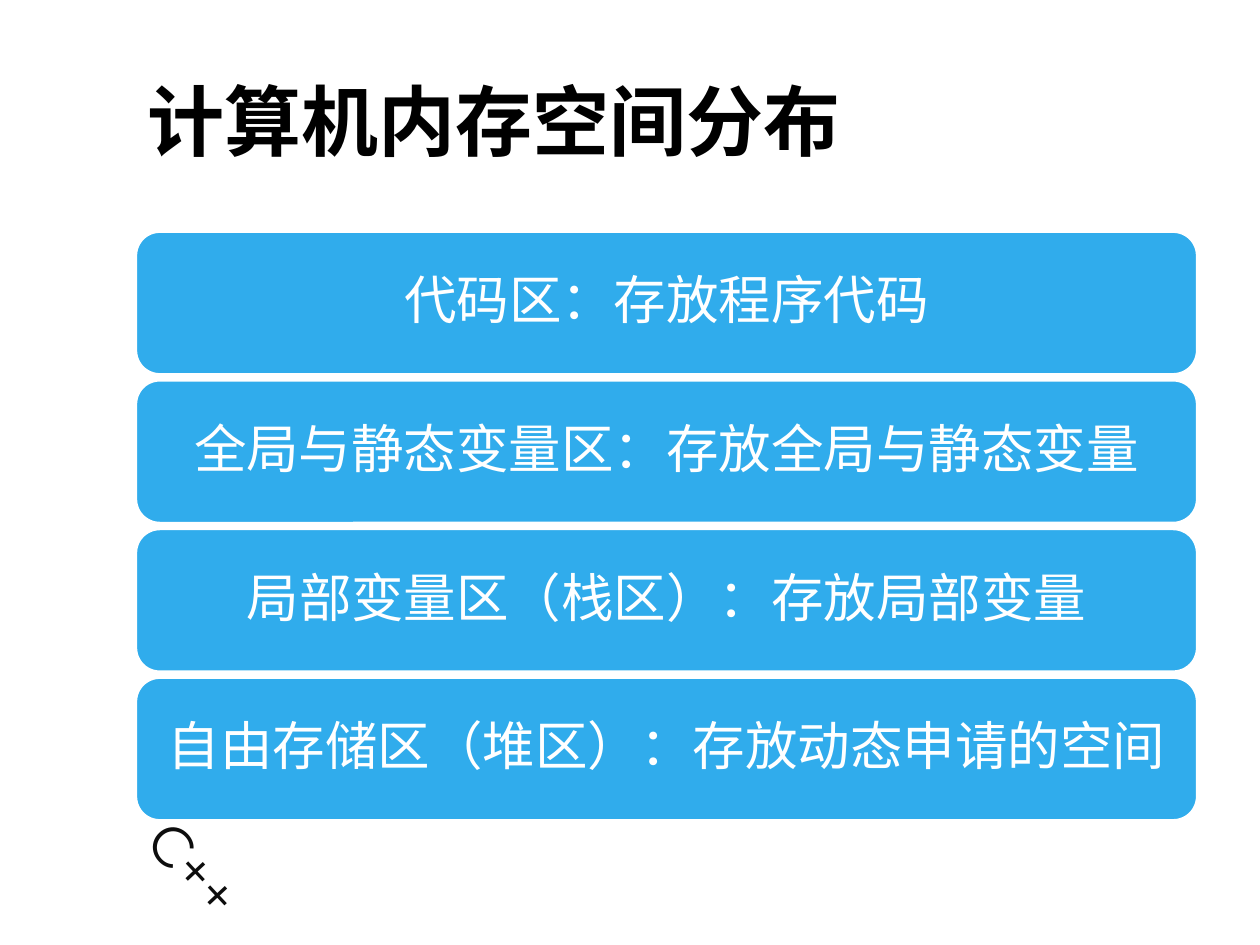
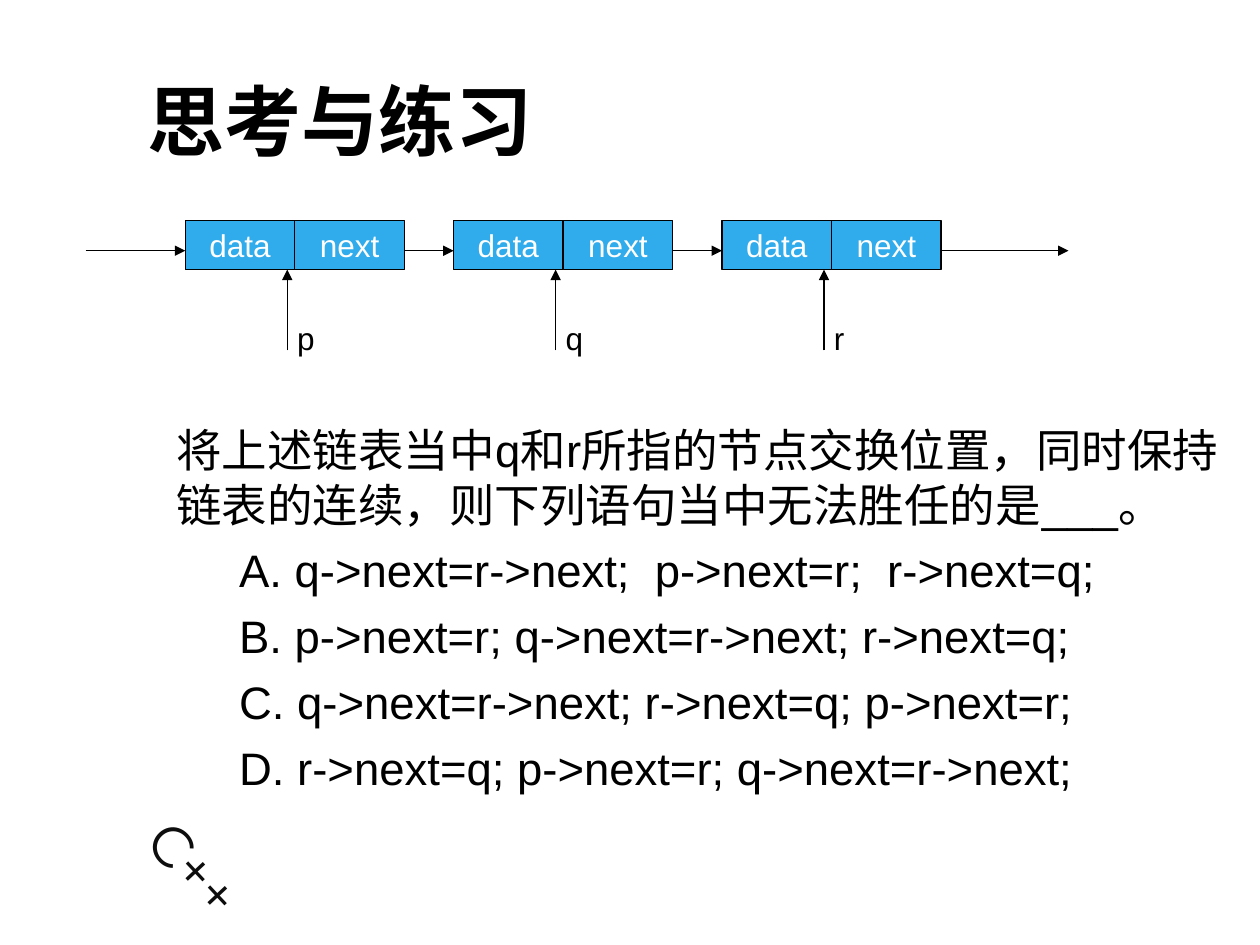
from dataclasses import dataclass

from lxml.etree import SubElement
from pptx import Presentation
from pptx.dml.color import RGBColor
from pptx.enum.shapes import MSO_CONNECTOR, MSO_SHAPE
from pptx.enum.text import MSO_ANCHOR, PP_ALIGN
from pptx.oxml.ns import qn
from pptx.util import Emu, Pt

# Shared look
EMU_PER_PX = 9144  # 100 px to the inch
COLOURS = {"text": "000000", "mark": "0D0D0D", "fill": "30ACEC", "white": "FFFFFF"}
TITLE = {"name": "Arial", "size": Pt(44), "bold": True}
MARK = {"name": "Montserrat", "size": Pt(32)}
BAR = {"name": "Arial", "size": Pt(30)}
NODE = {"name": "Arial", "size": Pt(18)}
BODY = {"name": "Arial", "size": Pt(26)}


@dataclass(frozen=True)
class Area:
    left: int
    top: int
    width: int
    height: int

    def lengths(self) -> list[Emu]:
        return [px(n) for n in (self.left, self.top, self.width, self.height)]


@dataclass(frozen=True)
class Node:
    left: int
    pointer: str
    label_width: int


def px(length: int) -> Emu:
    return Emu(length * EMU_PER_PX)


def colour(name: str) -> RGBColor:
    return RGBColor.from_string(COLOURS[name])


def set_all(target, values: dict) -> None:
    for name, value in values.items():
        setattr(target, name, value)


def write(para, words: str, style: dict, ink: str = "text") -> None:
    span = para.add_run()
    span.text = words
    set_all(span.font, style)
    span.font.color.rgb = colour(ink)


def add_text(page, area: Area, words: str, style: dict, ink: str = "text", **frame):
    box = page.shapes.add_textbox(*area.lengths())
    set_all(box.text_frame, {"word_wrap": True, **frame})
    if words:
        write(box.text_frame.paragraphs[0], words, style, ink)
    return box


def add_block(page, kind, area: Area, words: str, style: dict,
              edge: str, weight: float, **frame):
    block = page.shapes.add_shape(kind, *area.lengths())
    block.shadow.inherit = False
    block.fill.solid()
    block.fill.fore_color.rgb = colour("fill")
    block.line.color.rgb = colour(edge)
    block.line.width = Pt(weight)
    set_all(block.text_frame, {"vertical_anchor": MSO_ANCHOR.MIDDLE, **frame})
    para = block.text_frame.paragraphs[0]
    para.alignment = PP_ALIGN.CENTER
    write(para, words, style, "white")
    return block


def add_arrow(page, start: tuple[int, int], end: tuple[int, int]) -> None:
    arrow = page.shapes.add_connector(
        MSO_CONNECTOR.STRAIGHT, *[px(n) for n in start + end])
    arrow.line.color.rgb = colour("text")
    arrow.line.width = Pt(0.75)
    SubElement(arrow.line._get_or_add_ln(), qn("a:tailEnd"), type="triangle")
    SubElement(arrow._element.spPr, qn("a:effectLst"))


def add_page(deck, title: str):
    page = deck.slides.add_slide(deck.slide_layouts[6])
    mark = add_text(page, Area(94, 678, 161, 64), "C++", MARK, "mark")
    mark.rotation = 46.9
    add_text(page, Area(107, 29, 843, 132), title, TITLE,
             vertical_anchor=MSO_ANCHOR.MIDDLE)
    return page


# Slide 1: stacked memory areas
MEMORY_AREAS = [
    "代码区：存放程序代码",
    "全局与静态变量区：存放全局与静态变量",
    "局部变量区（栈区）：存放局部变量",
    "自由存储区（堆区）：存放动态申请的空间",
]


def build_memory_page(deck) -> None:
    page = add_page(deck, "计算机内存空间分布")
    for row, words in enumerate(MEMORY_AREAS):
        bar = add_block(page, MSO_SHAPE.ROUNDED_RECTANGLE,
                        Area(108, 184 + 118 * row, 842, 113), words, BAR,
                        "white", 1.25, word_wrap=True,
                        margin_left=px(12), margin_right=px(12))
        bar.text_frame.paragraphs[0].line_spacing = 0.9


# Slide 2: linked list and question
NODE_TOP, CELL_WIDTH, CELL_HEIGHT = 175, 87, 39
LINK_Y = 199
NODES = [Node(147 + 213 * index, name, width)
         for index, (name, width) in enumerate([("p", 36), ("q", 36), ("r", 30)])]
QUESTION = "将上述链表当中q和r所指的节点交换位置，同时保持链表的连续，则下列语句当中无法胜任的是___。"
OPTIONS = [
    "A. q->next=r->next;  p->next=r;  r->next=q;",
    "B. p->next=r; q->next=r->next; r->next=q;",
    "C. q->next=r->next; r->next=q; p->next=r;",
    "D. r->next=q; p->next=r; q->next=r->next;",
]


def add_node(page, node: Node) -> None:
    for column, words in enumerate(("data", "next")):
        area = Area(node.left + column * CELL_WIDTH, NODE_TOP, CELL_WIDTH, CELL_HEIGHT)
        add_block(page, MSO_SHAPE.RECTANGLE, area, words, NODE, "text", 0.75,
                  word_wrap=False)
    pointer_x = node.left + 81
    add_arrow(page, (pointer_x, 278), (pointer_x, NODE_TOP + CELL_HEIGHT))
    add_text(page, Area(pointer_x - 2, 248, node.label_width, 40), node.pointer, NODE,
             word_wrap=False)


def build_exercise_page(deck) -> None:
    page = add_page(deck, "思考与练习")
    for node in NODES:
        add_node(page, node)

    # Links run from each node's right edge to the next node
    starts = [68] + [node.left + 2 * CELL_WIDTH for node in NODES]
    ends = [node.left for node in NODES] + [848]
    for start, end in zip(starts, ends):
        add_arrow(page, (start, LINK_Y), (end, LINK_Y))

    # Question and indented options
    frame = add_text(page, Area(100, 330, 900, 387), "", BODY).text_frame
    for index, words in enumerate([QUESTION, *OPTIONS]):
        para = frame.add_paragraph() if index else frame.paragraphs[0]
        properties = para._p.get_or_add_pPr()
        properties.set("marL", str(px(80 if index else 30)))
        properties.set("indent", "0")
        if index:
            para.space_before = Pt(6.4)
        write(para, words, BODY)


def main() -> None:
    deck = Presentation()
    deck.slide_width, deck.slide_height = px(1000), px(750)
    build_memory_page(deck)
    build_exercise_page(deck)
    deck.save("out.pptx")


if __name__ == "__main__":
    main()
